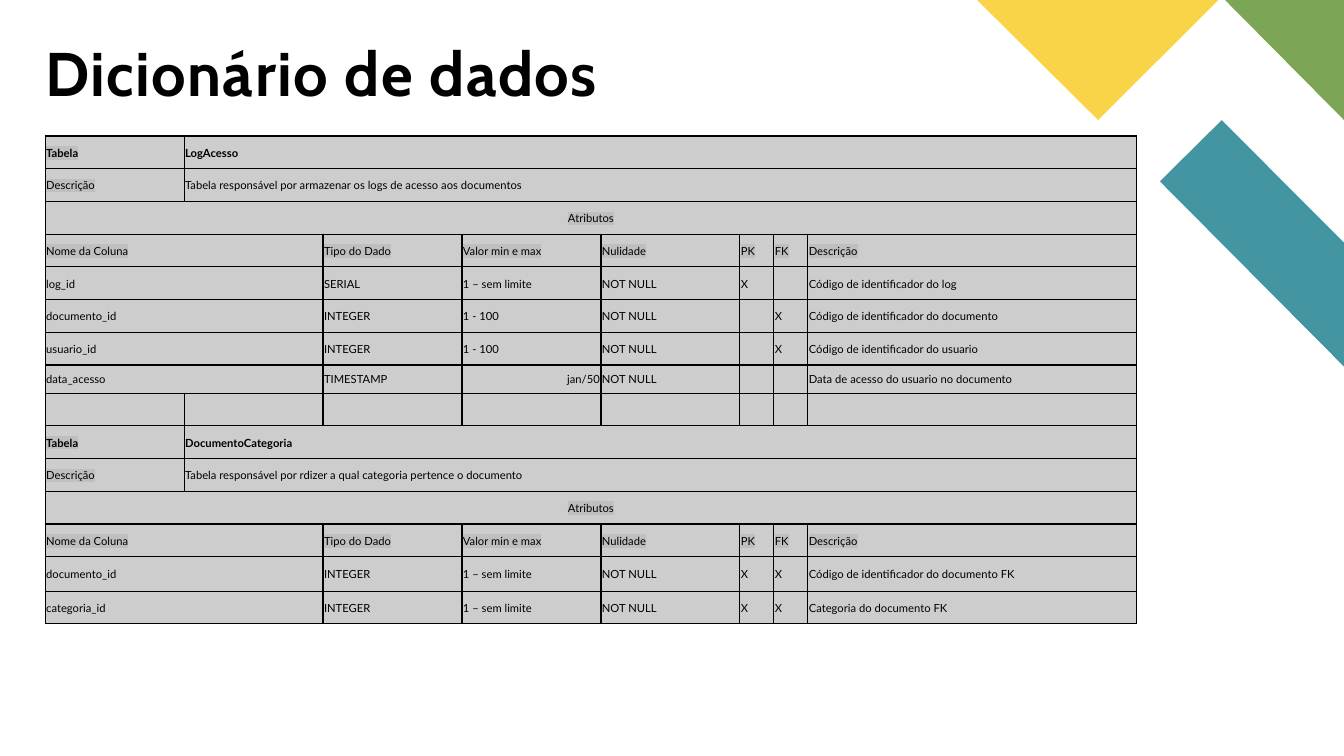
from dataclasses import dataclass

from lxml import etree
from pptx import Presentation
from pptx.dml.color import RGBColor
from pptx.enum.text import MSO_ANCHOR, PP_ALIGN
from pptx.oxml.ns import qn
from pptx.util import Inches, Pt

LEFT, MID, RIGHT = PP_ALIGN.LEFT, PP_ALIGN.CENTER, PP_ALIGN.RIGHT
CENTER, BOTTOM = MSO_ANCHOR.MIDDLE, MSO_ANCHOR.BOTTOM
WIDTH, HEIGHT = Inches(13.33), Inches(7.5)
BLACK, GRAY, MARK = "000000", "CDCDCD", "BFBFBF"
COLS = [10.34] * 5 + [2.53] * 2 + [24.48]
ROWS = [4.33] * 7 + [3.73] + [4.33] * 5 + [4.56, 4.33]


@dataclass
class Entry:
    text: str = ""
    span: int = 1
    bold: bool = False
    mark: bool = False
    align: PP_ALIGN = LEFT


@dataclass
class Patch:
    color: str
    points: list[tuple[float, float]]


PATCHES = [
    Patch("4495A2", [(100, 48.5), (100, 32.1), (90.9, 15.9), (86.3, 24)]),
    Patch("7CA655", [(100, 15.87), (100, 0), (91.15, 0)]),
    Patch("F9D448", [(72.7, 0), (81.7, 15.87), (90.66, 0)]),
]


def across(share: float) -> int:
    return round(WIDTH * share / 100)


def down(share: float) -> int:
    return round(HEIGHT * share / 100)


def tint(code: str) -> RGBColor:
    return RGBColor.from_string(code)


def head(name: str, about: str) -> list[list[Entry]]:
    labels = ["Tipo do Dado", "Valor min e max", "Nulidade", "PK", "FK", "Descrição"]
    return [
        [Entry("Tabela", bold=True, mark=True), Entry(name, 7, bold=True)],
        [Entry("Descrição", mark=True), Entry(about, 7)],
        [Entry("Atributos", 8, mark=True, align=MID)],
        [Entry("Nome da Coluna", 2, mark=True)] + [Entry(label, mark=True) for label in labels],
    ]


def field(name: str, kind: str, limit: str, keys: str, about: str,
          align: PP_ALIGN = LEFT) -> list[Entry]:
    flags = [Entry("X" if key in keys else "") for key in "PF"]
    return [Entry(name, 2), Entry(kind), Entry(limit, align=align),
            Entry("NOT NULL"), *flags, Entry(about)]


LINES = [
    *head("LogAcesso", "Tabela responsável por armazenar os logs de acesso aos documentos"),
    field("log_id", "SERIAL", "1 – sem limite", "P", "Código de identificador do log"),
    field("documento_id", "INTEGER", "1 - 100", "F", "Código de identificador do documento"),
    field("usuario_id", "INTEGER", "1 - 100", "F", "Código de identificador do usuario"),
    field("data_acesso", "TIMESTAMP", "jan/50", "", "Data de acesso do usuario no documento", RIGHT),
    [Entry() for _ in COLS],
    *head("DocumentoCategoria", "Tabela responsável por rdizer a qual categoria pertence o documento"),
    field("documento_id", "INTEGER", "1 – sem limite", "PF", "Código de identificador do documento FK"),
    field("categoria_id", "INTEGER", "1 – sem limite", "PF", "Categoria do documento FK"),
]


def write(para, text: str, face: str, size: float, bold: bool):
    run = para.add_run()
    run.text = text
    font = run.font
    font.name, font.size, font.bold = face, Pt(size), bold
    font.color.rgb = tint(BLACK)
    return run.font._element if hasattr(run.font, "_element") else run._r.get_or_add_rPr()


def paint(node, code: str) -> None:
    etree.SubElement(node, qn("a:srgbClr"), val=code)


def frame(cell) -> None:
    props = cell._tc.get_or_add_tcPr()
    for side in "LRTB":
        edge = etree.SubElement(props, qn(f"a:ln{side}"), w=str(Pt(1)))
        paint(etree.SubElement(edge, qn("a:solidFill")), BLACK)
    cell.fill.solid()
    cell.fill.fore_color.rgb = tint(GRAY)
    cell.margin_left = cell.margin_right = cell.margin_top = Inches(0.01)
    cell.margin_bottom = 0
    cell.vertical_anchor = CENTER
    cell.text_frame.paragraphs[0]._p.get_or_add_endParaRPr().set("sz", "800")


def fill(cell, entry: Entry) -> None:
    para = cell.text_frame.paragraphs[0]
    para.alignment = entry.align
    if entry.text:
        props = write(para, entry.text, "Lato", 8, entry.bold)
        if entry.mark:
            light = etree.Element(qn("a:highlight"))
            paint(light, MARK)
            props.find(qn("a:solidFill")).addnext(light)


def draw_patch(slide, patch: Patch) -> None:
    spots = [(across(x), down(y)) for x, y in patch.points]
    pen = slide.shapes.build_freeform(*spots[0])
    pen.add_line_segments(spots[1:], close=True)
    shape = pen.convert_to_shape()
    shape.shadow.inherit = False
    shape.fill.solid()
    shape.fill.fore_color.rgb = tint(patch.color)
    shape.line.fill.background()


def draw_title(slide) -> None:
    box = slide.shapes.add_textbox(across(3.36), down(6.4), across(42.84), down(7.87))
    body = box.text_frame
    body.word_wrap = True
    body.vertical_anchor = BOTTOM
    body.margin_left = body.margin_right = body.margin_top = body.margin_bottom = 0
    para = body.paragraphs[0]
    para.line_spacing = 0.8
    write(para, "Dicionário de dados", "Cabin", 44, True).set("spc", "100")


def draw_table(slide) -> None:
    table = slide.shapes.add_table(len(ROWS), len(COLS), across(3.36), down(18),
                                   across(sum(COLS)), down(sum(ROWS))).table
    table.first_row = table.horz_banding = False
    for col, share in zip(table.columns, COLS):
        col.width = across(share)
    for row, share in zip(table.rows, ROWS):
        row.height = down(share)
    for cell in table.iter_cells():
        frame(cell)
    for row, line in enumerate(LINES):
        col = 0
        for entry in line:
            cell = table.cell(row, col)
            if entry.span > 1:
                cell.merge(table.cell(row, col + entry.span - 1))
            fill(cell, entry)
            col += entry.span


def main() -> None:
    deck = Presentation()
    deck.slide_width, deck.slide_height = WIDTH, HEIGHT
    slide = deck.slides.add_slide(deck.slide_layouts[6])
    for patch in PATCHES:
        draw_patch(slide, patch)
    draw_title(slide)
    draw_table(slide)
    deck.save("out.pptx")


if __name__ == "__main__":
    main()
